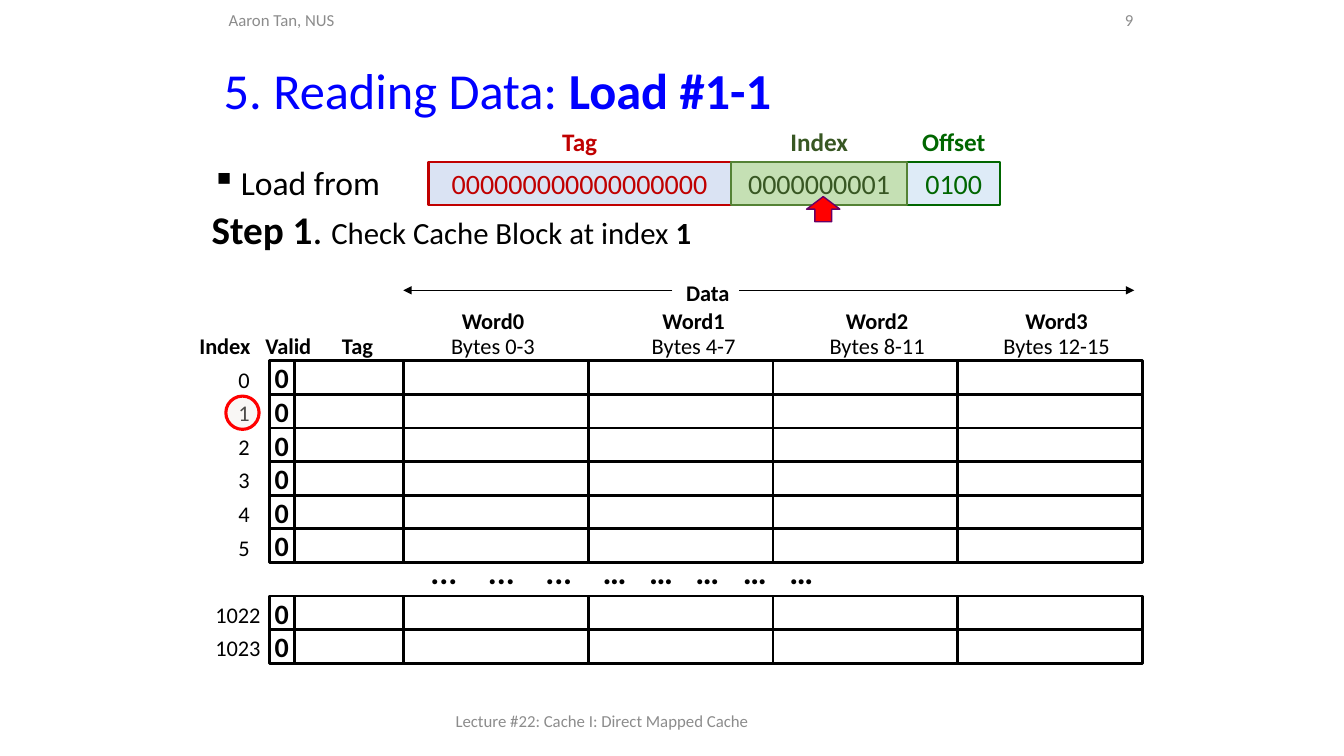
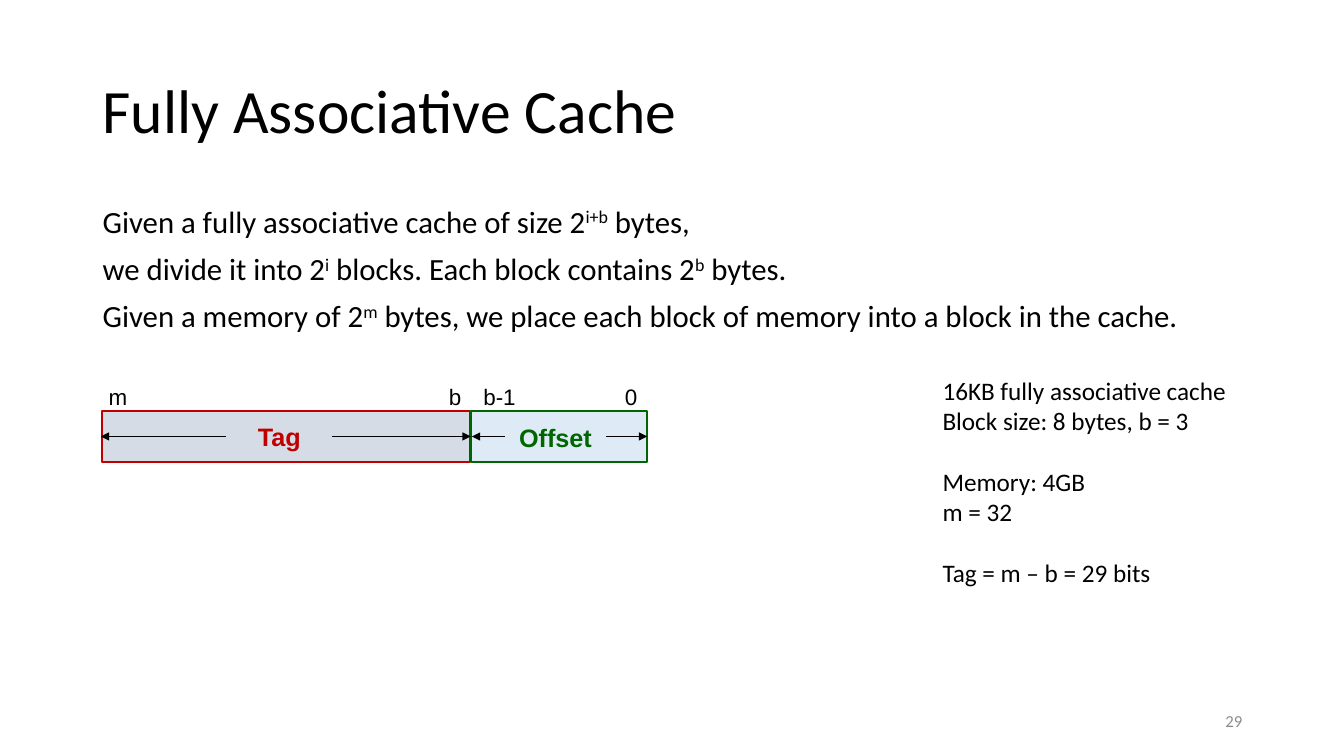
from dataclasses import dataclass
from typing import NamedTuple

from lxml import etree
from pptx import Presentation
from pptx.dml.color import RGBColor
from pptx.enum.shapes import MSO_CONNECTOR, MSO_SHAPE
from pptx.enum.text import MSO_ANCHOR, PP_ALIGN
from pptx.oxml.ns import qn
from pptx.util import Inches, Pt

LEFT, MID, RIGHT = PP_ALIGN.LEFT, PP_ALIGN.CENTER, PP_ALIGN.RIGHT
TOP, HALF = MSO_ANCHOR.TOP, MSO_ANCHOR.MIDDLE
RECT, OVAL, ARROW = MSO_SHAPE.RECTANGLE, MSO_SHAPE.OVAL, MSO_SHAPE.LEFT_ARROW
LINE = MSO_CONNECTOR.STRAIGHT

HUES = {
    "black": "000000", "blue": "0000FF", "grey": "8C8C8C", "red": "FF0000",
    "tag": "C00000", "offset": "006600", "index": "385723", "edge": "548235",
    "sky": "DAE3F3", "pale": "DEEBF7", "leaf": "C5E0B4", "steel": "D6DCE5",
    "cream": "EFE9E1", "plum": "660066",
}


class Box(NamedTuple):
    left: float
    top: float
    width: float
    height: float


class Run(NamedTuple):
    text: str
    size: float | None = None
    bold: bool | None = None
    raised: bool = False


@dataclass(frozen=True)
class Look:
    size: float
    hue: str = "black"
    bold: bool = False
    font: str = "Calibri"
    align: PP_ALIGN = LEFT
    anchor: MSO_ANCHOR = TOP
    wrap: bool = True
    before: float = 0
    lead: float = 1.0


@dataclass(frozen=True)
class Field:
    """One part of an address: its bits, its name and its colours."""
    box: Box
    bits: str
    name: str
    hue: str
    fill: str
    edge: str


TITLE = {"anchor": HALF, "lead": 0.9}
SMALL = Look(12, "grey", anchor=HALF)
PAGE = Look(12, "grey", align=RIGHT, anchor=HALF)
LABEL = Look(16, align=MID, wrap=False)
HEAD = Look(16, bold=True, align=MID, wrap=False)
VALID = Look(20, bold=True, align=MID, anchor=HALF, wrap=False)
MARK = Look(16, font="Arial", align=MID, wrap=False)


def rgb(name: str) -> RGBColor:
    return RGBColor.from_string(HUES[name])


def write(shape, look: Look, *lines: str | list[Run]) -> list:
    """Fill a shape with one paragraph per line."""
    frame = shape.text_frame
    frame.word_wrap = look.wrap
    frame.vertical_anchor = look.anchor
    paras = []
    for pos, line in enumerate(lines):
        para = frame.paragraphs[0] if pos == 0 else frame.add_paragraph()
        para.alignment = look.align
        para.space_before = Pt(look.before)
        para.line_spacing = look.lead
        font = para.font
        font.name, font.size, font.bold = look.font, Pt(look.size), look.bold
        font.color.rgb = rgb(look.hue)
        for part in [Run(line)] if isinstance(line, str) else line:
            run = para.add_run()
            run.text = part.text
            if part.size:
                run.font.size = Pt(part.size)
            if part.bold is not None:
                run.font.bold = part.bold
            if part.raised:
                run.font._element.set("baseline", "30000")
        paras.append(para)
    return paras


def label(slide, box: Box, look: Look, *lines: str | list[Run]) -> list:
    area = slide.shapes.add_textbox(*map(Inches, box))
    return write(area, look, *lines)


def draw(slide, kind, box: Box, fill: str = "", edge: str = "", width: float = 1.5):
    shape = slide.shapes.add_shape(kind, *map(Inches, box))
    shape.shadow.inherit = False
    if fill:
        shape.fill.solid()
        shape.fill.fore_color.rgb = rgb(fill)
    else:
        shape.fill.background()
    if edge:
        shape.line.color.rgb = rgb(edge)
        shape.line.width = Pt(width)
    else:
        shape.line.fill.background()
    return shape


def arrow(slide, start: float, end: float, y: float, width: float, both: bool = False) -> None:
    """Draw a level line with a head at its end, or at both ends."""
    link = slide.shapes.add_connector(LINE, *map(Inches, (start, y, end, y)))
    link.line.color.rgb = rgb("black")
    link.line.width = Pt(width)
    props = link._element.spPr
    stroke = props.find(qn("a:ln"))
    for tip in ("headEnd", "tailEnd") if both else ("tailEnd",):
        etree.SubElement(stroke, qn(f"a:{tip}"), type="triangle")
    etree.SubElement(props, qn("a:effectLst"))


def bullet(para, sign: str, indent: float) -> None:
    props = para._p.get_or_add_pPr()
    props.set("marL", str(Inches(indent)))
    props.set("indent", str(-Inches(indent)))
    mark = etree.Element(qn("a:buChar"), char=sign)
    props.find(qn("a:defRPr")).addprevious(mark)


def tabs(para, stops: list[float]) -> None:
    stack = etree.Element(qn("a:tabLst"))
    for stop in stops:
        etree.SubElement(stack, qn("a:tab"), pos=str(Inches(stop)), algn="l")
    para._p.pPr.find(qn("a:defRPr")).addprevious(stack)


def cache(slide) -> None:
    """Draw the cache blocks with their headings."""
    top, step, wide = 3.58, 1 / 3, 11 / 6
    cols = [(2.92, 1.08)] + [(4 + wide * pos, wide) for pos in range(4)]
    slots = {slot: str(slot) for slot in range(6)} | {7: "1022", 8: "1023"}
    for slot, name in slots.items():
        y = top + slot * step
        for x, width in cols:
            draw(slide, RECT, Box(x, y, width, step), edge="black", width=2)
        valid = draw(slide, RECT, Box(2.67, y, 0.25, step), edge="black", width=2)
        write(valid, VALID, "0")
        x = 2.03 if len(name) > 1 else 2.09
        label(slide, Box(x, y, 0.66, 0.37), LABEL, name)

    # Skipped rows
    dots = ["..."] * 3 + ["…"] * 5
    para, = label(slide, Box(4.17, 5.42, 5.5, 0.5), Look(24, bold=True), "\t".join(dots))
    tabs(para, [0.57, 1.14, 1.71, 2.17, 2.63, 3.1, 3.56])

    # Headings
    for x, width, name in ((1.87, 0.72, "Index"), (2.53, 0.66, "Valid"), (3.29, 0.51, "Tag")):
        label(slide, Box(x, 3.25, width, 0.37), HEAD, name)
    words = ((4.89, "0-3"), (6.88, "4-7"), (8.7, "8-11"), (10.48, "12-15"))
    for pos, (mid, span) in enumerate(words):
        x = mid - 0.65
        label(slide, Box(x, 3, 1.3, 0.37), HEAD, f"Word{pos}")
        label(slide, Box(x, 3.25, 1.3, 0.37), LABEL, f"Bytes {span}")
    label(slide, Box(6.7, 2.72, 0.64, 0.37), HEAD, "Data")
    arrow(slide, 6.67, 4, 2.88, 0.75)
    arrow(slide, 7.33, 11.25, 2.88, 0.75)


def load(slide) -> None:
    cache(slide)

    # Title, header and footer
    label(slide, Box(2.12, 0.57, 9.21, 0.7), Look(36, "blue", **TITLE),
          [Run("5. Reading Data: "), Run("Load #1-1", bold=True)])
    label(slide, Box(4.42, 6.95, 4.5, 0.4), SMALL, "Lecture #22: Cache I: Direct Mapped Cache")
    label(slide, Box(10.39, 0.02, 0.95, 0.36), PAGE, "9")
    label(slide, Box(2.17, 0.02, 3.17, 0.36), SMALL, "Aaron Tan, NUS")

    # Step
    first, _ = label(
        slide, Box(2, 1.6, 9, 1.05), Look(24, before=6, lead=0.9), "Load from",
        [Run("Step 1", 28, True), Run(". ", 28),
         Run("Check Cache Block at index ", 22), Run("1", 22, True)])
    bullet(first, "▪", 0.29)

    # Address
    fields = (
        Field(Box(4.25, 1.61, 3, 0.42), "000000000000000000", "Tag", "tag", "sky", "tag"),
        Field(Box(9, 1.61, 0.92, 0.42), "0100", "Offset", "offset", "pale", "offset"),
        Field(Box(7.25, 1.61, 1.75, 0.42), "0000000001", "Index", "index", "leaf", "edge"),
    )
    for field in fields:
        box = field.box
        cell = draw(slide, RECT, box, field.fill, field.edge)
        write(cell, Look(20, field.hue, align=MID, anchor=HALF), field.bits)
        mid = box.left + box.width / 2
        label(slide, Box(mid - 0.6, 1.2, 1.2, 0.4),
              Look(18, field.hue, bold=True, align=MID), field.name)

    # Pointers to the chosen index
    ring = draw(slide, OVAL, Box(2.24, 3.93, 0.33, 0.33), "cream", "red", 2.25)
    tint = ring._element.spPr.find(qn("a:solidFill"))[0]
    etree.SubElement(tint, qn("a:alpha"), val="32000")
    hint = draw(slide, ARROW, Box(8.04, 1.91, 0.25, 0.33), "red", "plum", 1)
    hint.rotation = 90


def full(slide) -> None:
    # Title, body and page number
    label(slide, Box(0.92, 0.4, 11.5, 1.45), Look(44, **TITLE), "Fully Associative Cache")
    label(slide, Box(0.92, 2, 12.32, 4.76), Look(22, before=10, lead=0.9),
          [Run("Given a fully associative cache of size 2"), Run("i+b", raised=True),
           Run(" bytes,")],
          [Run("we divide it into 2"), Run("i", raised=True),
           Run(" blocks. Each block contains 2"), Run("b", raised=True), Run(" bytes.")],
          [Run("Given a memory of 2"), Run("m", raised=True),
           Run(" bytes, we place each block of memory into a block in the cache.")])
    label(slide, Box(9.42, 6.95, 3, 0.4), PAGE, "29")

    # Worked example
    notes = label(slide, Box(9.25, 3.67, 3.3, 2.22), Look(18),
                  "16KB fully associative cache", "Block size: 8 bytes, b = 3",
                  "Memory: 4GB", "m = 32", "Tag = m – b = 29 bits")
    for pos in (2, 4):
        notes[pos].space_before = Pt(22)

    # Address
    draw(slide, RECT, Box(1.01, 4.08, 3.65, 0.5), "steel", "tag")
    draw(slide, RECT, Box(4.67, 4.08, 1.75, 0.5), "pale", "offset")
    for x, width, name in ((0.92, 0.5, "m"), (4.35, 0.33, "b"), (4.69, 0.53, "b-1"), (6.09, 0.34, "0")):
        label(slide, Box(x, 3.75, width, 0.37), MARK, name)
    arrow(slide, 3.29, 4.67, 4.33, 1)
    arrow(slide, 2.24, 1, 4.33, 1)
    arrow(slide, 6.42, 4.68, 4.33, 1, both=True)
    bold = {"bold": True, "font": "Arial", "align": MID}
    label(slide, Box(2.07, 4.13, 1.4, 0.4), Look(18, "tag", **bold), "Tag")
    plate = draw(slide, RECT, Box(5.01, 4.14, 1, 0.4), "pale")
    write(plate, Look(18, "offset", **bold), "Offset")


def main() -> None:
    deck = Presentation()
    deck.slide_width, deck.slide_height = Inches(13.33), Inches(7.5)
    blank = deck.slide_layouts[6]
    for build in (load, full):
        build(deck.slides.add_slide(blank))
    deck.save("out.pptx")


if __name__ == "__main__":
    main()
